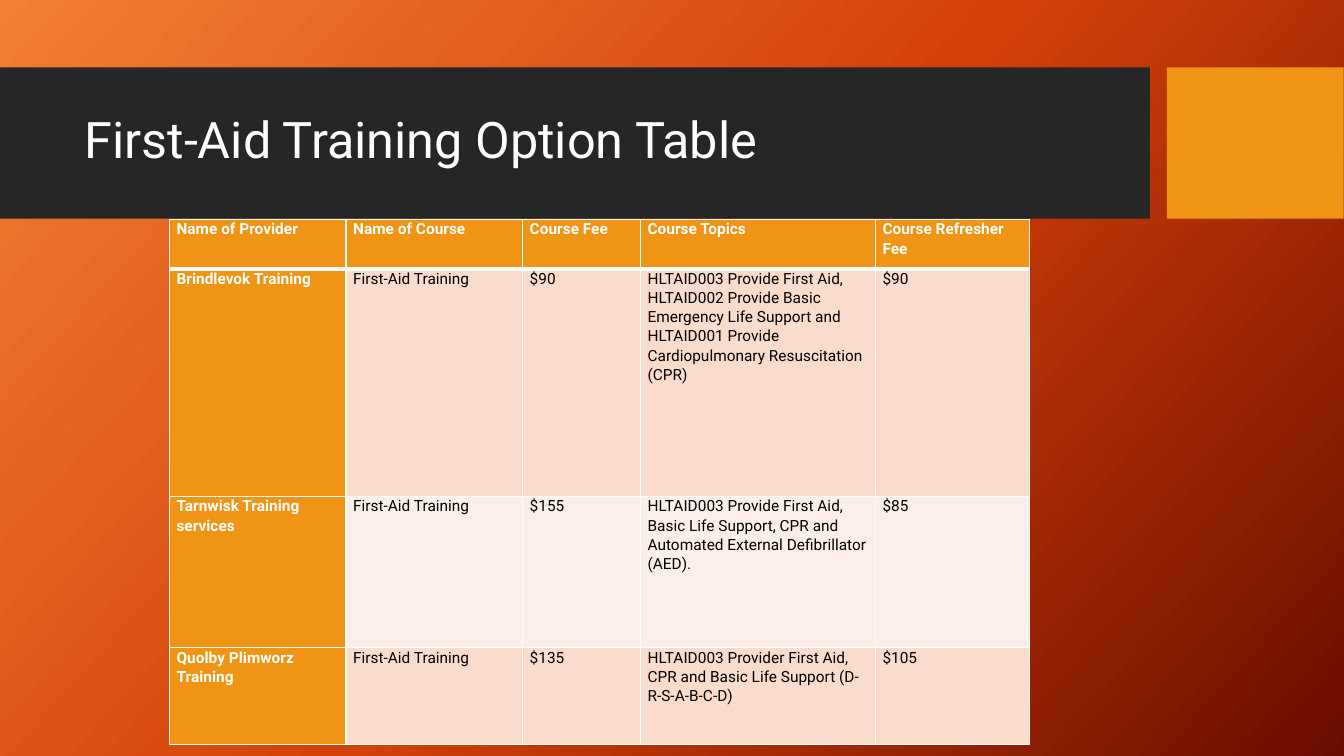
"""Build the slide that compares first-aid training options in a table."""
from copy import deepcopy

from lxml import etree
from pptx import Presentation
from pptx.dml.color import RGBColor
from pptx.enum.shapes import MSO_SHAPE
from pptx.enum.text import MSO_ANCHOR
from pptx.oxml.ns import qn
from pptx.util import Cm, Pt

RECTANGLE = MSO_SHAPE.RECTANGLE
MIDDLE, TOP = MSO_ANCHOR.MIDDLE, MSO_ANCHOR.TOP

COLORS = {
    "white": "FFFFFF",
    "black": "000000",
    "charcoal": "262626",
    "amber": "F09415",
    "band_dark": "F9DCCC",
    "band_light": "FCEEE8",
    "glow": "F18031",
    "flame": "D54209",
    "ember": "6A0D00",
}
COLUMN_WIDTHS = [4.45, 4.45, 2.97, 5.92, 3.89]
ROW_HEIGHTS = [1.24, 5.74, 3.81, 2.44]
COURSES = [
    ["Name of Provider", "Name of Course", "Course Fee", "Course Topics", "Course Refresher Fee"],
    ["Brindlevok Training", "First-Aid Training", "$90",
     "HLTAID003 Provide First Aid,\n"
     "HLTAID002 Provide Basic Emergency Life Support and\n"
     "HLTAID001 Provide Cardiopulmonary Resuscitation (CPR)", "$90"],
    ["Tarnwisk Training services", "First-Aid Training", "$155",
     "HLTAID003 Provide First Aid,\n"
     "Basic Life Support, CPR and Automated External Defibrillator (AED).", "$85"],
    ["Quolby Plimworz Training", "First-Aid Training", "$135",
     "HLTAID003 Provider First Aid, CPR and Basic Life Support (D-R-S-A-B-C-D)", "$105"],
]


def write(frame, text, size=11, color="black", bold=False, spacing=1.07, anchor=TOP):
    frame.word_wrap = True
    frame.vertical_anchor = anchor
    frame.text = text
    for paragraph in frame.paragraphs:
        paragraph.line_spacing = spacing
        font = paragraph.runs[0].font
        font.name, font.size, font.bold = "Roboto", Pt(size), bold
        font.color.rgb = RGBColor.from_string(COLORS[color])


def add_borders(cell, widths):
    properties = cell._tc.get_or_add_tcPr()
    for position, (side, width) in enumerate(widths.items()):
        border = etree.Element(qn(f"a:{side}"), w=str(Pt(width)))
        solid = etree.SubElement(border, qn("a:solidFill"))
        etree.SubElement(solid, qn("a:srgbClr"), val=COLORS["white"])
        properties.insert(position, border)


deck = Presentation()
deck.slide_width, deck.slide_height = Cm(33.87), Cm(19.05)
slide = deck.slides.add_slide(deck.slide_layouts[6])

backdrop = slide.background.fill
backdrop.gradient()
backdrop.gradient_angle = 318
stop_list = slide.element.find(".//" + qn("a:gsLst"))
stop_list.append(deepcopy(stop_list[-1]))
for stop, position, color in zip(backdrop.gradient_stops, (0, 0.5, 1), ("glow", "flame", "ember")):
    stop.position = position
    stop.color.rgb = RGBColor.from_string(COLORS[color])

for left, width, color in [(0, 28.98, "charcoal"), (29.41, 4.45, "amber")]:
    banner = slide.shapes.add_shape(RECTANGLE, Cm(left), Cm(1.7), Cm(width), Cm(3.81))
    banner.shadow.inherit = False
    banner.fill.solid()
    banner.fill.fore_color.rgb = RGBColor.from_string(COLORS[color])
    banner.line.fill.background()

title = slide.shapes.add_textbox(Cm(1.88), Cm(2.08), Cm(26.7), Cm(3))
write(title.text_frame, "First-Aid Training Option Table",
      size=36, color="white", spacing=0.9, anchor=MIDDLE)

options = slide.shapes.add_table(
    len(ROW_HEIGHTS), len(COLUMN_WIDTHS), Cm(4.27), Cm(5.53),
    Cm(sum(COLUMN_WIDTHS)), Cm(sum(ROW_HEIGHTS))).table
for column, width in zip(options.columns, COLUMN_WIDTHS):
    column.width = Cm(width)
for row, height in zip(options.rows, ROW_HEIGHTS):
    row.height = Cm(height)

for r, course in enumerate(COURSES):
    for c, text in enumerate(course):
        cell = options.cell(r, c)
        heading = r == 0 or c == 0
        band = "band_dark" if r % 2 else "band_light"
        cell.margin_left = cell.margin_right = Cm(0.18)
        cell.margin_top = cell.margin_bottom = 0
        cell.fill.solid()
        cell.fill.fore_color.rgb = RGBColor.from_string(COLORS["amber" if heading else band])
        write(cell.text_frame, text, color="white" if heading else "black", bold=heading)
        add_borders(cell, {"lnL": 1, "lnR": 1, "lnT": 3 if r == 1 else 1, "lnB": 3 if r == 0 else 1})

deck.save("out.pptx")
